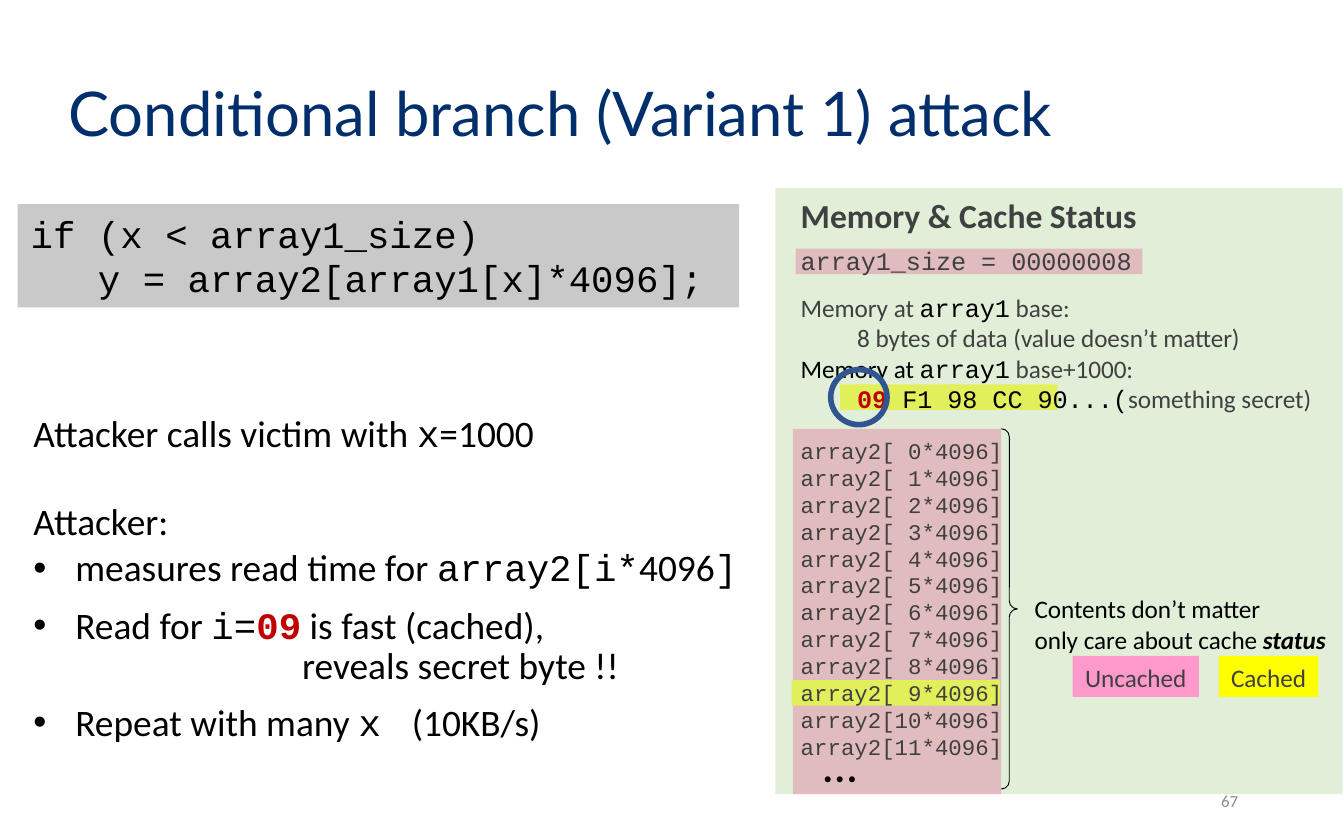
from pptx import Presentation
from pptx.dml.color import RGBColor
from pptx.enum import shapes, text
from pptx.oxml import parse_xml
from pptx.oxml.ns import nsdecls
from pptx.util import Pt

COLORS = {
    "navy": "002F6C", "black": "000000", "dark": "404040", "red": "C00000",
    "grey": "8C8C8C", "code": "C9C9C9", "panel": "C5E0B4", "pink": "FF99CC",
    "yellow": "FFFF00", "ring": "325491",
}
SANS, MONO = "Calibri", "Courier New"
BULLET_INDENT = 22.5
PANEL_INDENT, PANEL_TAB = 6.5, 36.7


def color(name):
    return RGBColor.from_string(COLORS[name])


def add_shape(slide, kind, box, fill=None, line=None, weight=1):
    """A preset shape; box is left, top, width, height in points."""
    shape = slide.shapes.add_shape(kind, *map(Pt, box))
    shape.shadow.inherit = False
    if fill:
        shape.fill.solid()
        shape.fill.fore_color.rgb = color(fill)
    else:
        shape.fill.background()
    if line:
        shape.line.color.rgb = color(line)
        shape.line.width = Pt(weight)
    else:
        shape.line.fill.background()
    return shape


def add_rectangle(slide, box, fill):
    return add_shape(slide, shapes.MSO_SHAPE.RECTANGLE, box, fill)


def set_transparency(shape, percent):
    fill = shape.fill._xPr.find(".//{*}srgbClr")
    fill.append(parse_xml(f'<a:alpha {nsdecls("a")} val="{(100 - percent) * 1000}"/>'))


def prepare_frame(shape, anchor=text.MSO_ANCHOR.TOP, wrap=True):
    frame = shape.text_frame
    frame.word_wrap = wrap
    frame.vertical_anchor = anchor
    return frame


def add_text_box(slide, box, anchor=text.MSO_ANCHOR.TOP):
    return prepare_frame(slide.shapes.add_textbox(*map(Pt, box)), anchor)


def add_paragraph(frame, runs, size, align=text.PP_ALIGN.LEFT, spacing=None,
                  before=0, after=0, left=0, bullet=False):
    """A paragraph of runs, each (words, font, color, style letters b and i)."""
    first = frame.paragraphs[0]
    paragraph = frame.add_paragraph() if first.runs else first
    paragraph.alignment = align
    paragraph.space_before, paragraph.space_after = Pt(before), Pt(after)
    if spacing:
        paragraph.line_spacing = spacing
    properties = paragraph._p.get_or_add_pPr()
    properties.set("marL", str(Pt(left)))
    properties.set("indent", str(Pt(-left if bullet else 0)))
    if bullet:
        properties.append(parse_xml(f'<a:buFont {nsdecls("a")} typeface="Arial"/>'))
        properties.append(parse_xml(f'<a:buChar {nsdecls("a")} char="•"/>'))
    for words, font, name, *style in runs:
        run = paragraph.add_run()
        run.text = words
        run.font.name, run.font.size = font, Pt(size)
        run.font.color.rgb = color(name)
        run.font.bold, run.font.italic = "b" in style, "i" in style


def add_code(slide):
    shape = add_rectangle(slide, (9.4, 109.4, 386.6, 55.4), "code")
    frame = prepare_frame(shape)
    for words, left in (("if (x < array1_size)", 0),
                        ("y = array2[array1[x]*4096];", 36)):
        add_paragraph(frame, [(words, MONO, "black")], 20, left=left)


def add_memory_panel(slide):
    # Highlights that show through the panel
    for box, fill in (((426.2, 133.2, 185.8, 13.7), "pink"),
                      ((450, 205.9, 116.6, 13.7), "yellow"),
                      ((424.8, 229.7, 111.6, 195.8), "pink"),
                      ((424.1, 364.3, 111.6, 13.7), "yellow")):
        add_rectangle(slide, box, fill)
    panel = add_rectangle(slide, (415.4, 100.8, 303.8, 324.7), "panel")
    set_transparency(panel, 50)
    frame = prepare_frame(panel)

    # Memory values
    add_paragraph(frame, [("Memory & Cache Status", SANS, "dark", "b")], 18,
                  left=PANEL_INDENT)
    rows = [
        ([("array1_size = 00000008", MONO, "dark")], PANEL_INDENT, 5.5),
        ([("Memory at ", SANS, "dark"), ("array1", MONO, "black"),
          (" base:", SANS, "dark")], PANEL_INDENT, 9),
        ([("8 bytes of data (value doesn’t matter)", SANS, "dark")], PANEL_TAB, 0),
        ([("Memory at ", SANS, "black"), ("array1", MONO, "black"),
          (" base+1000:", SANS, "dark")], PANEL_INDENT, 0),
        ([("09", MONO, "red", "b"), (" F1 98 CC 90...(", MONO, "black"),
          ("something secret)", SANS, "dark")], PANEL_TAB, 0),
    ]
    for runs, left, before in rows:
        add_paragraph(frame, runs, 13.5, left=left, before=before)

    # Probe array
    for index in range(12):
        add_paragraph(frame, [(f"array2[{index:2}*4096]", MONO, "dark")], 12,
                      left=PANEL_INDENT, before=0 if index else 12.8)


def add_cache_notes(slide):
    brace = add_shape(slide, shapes.MSO_SHAPE.RIGHT_BRACE,
                      (536.4, 229.7, 8.6, 193), line="black", weight=0.5)
    brace.adjustments[0] = brace.adjustments[1] = 0.5
    notes = ((314.6, [("Contents don’t matter", SANS, "black")]),
             (331.2, [("only care about cache ", SANS, "black"),
                      ("status", SANS, "black", "b", "i")]))
    for top, runs in notes:
        add_paragraph(add_text_box(slide, (547.2, top, 172.8, 23.8)), runs, 13.5)
    # Legend
    for words, left, width, fill in (("Uncached", 574.6, 67.7, "pink"),
                                     ("Cached", 653, 53.3, "yellow")):
        shape = add_rectangle(slide, (left, 351.4, width, 22), fill)
        add_paragraph(prepare_frame(shape, wrap=False), [(words, SANS, "dark")],
                      13.5, text.PP_ALIGN.CENTER)
    add_paragraph(add_text_box(slide, (432, 407.5, 36, 18)),
                  [("• • •", SANS, "black")], 9, text.PP_ALIGN.CENTER)


def add_attack_steps(slide):
    frame = add_text_box(slide, (10.8, 218.9, 393.1, 190.8))
    steps = [
        ([("Attacker calls victim with ", SANS, "black"), ("x", MONO, "black"),
          ("=1000", SANS, "black")], 1.5, 1.5, 0, False),
        ([("Attacker:", SANS, "black")], 24.3, 1.5, 0, False),
        ([("measures read time for ", SANS, "black"), ("array2[i*", MONO, "black"),
          ("4096", SANS, "black"), ("]", MONO, "black")],
         1.5, 1.5, BULLET_INDENT, True),
        ([("Read for ", SANS, "black"), ("i=", MONO, "black"),
          ("09", MONO, "red", "b"), (" is fast (cached),", SANS, "black")],
         7.5, 0, BULLET_INDENT, True),
        ([("reveals secret byte !!", SANS, "black")], 0, 1.5, 144, False),
        ([("Repeat with many ", SANS, "black"), ("x ", MONO, "black"),
          (" (10KB/s)", SANS, "black")], 7.5, 1.5, BULLET_INDENT, True),
    ]
    for runs, before, after, left, bullet in steps:
        add_paragraph(frame, runs, 20, spacing=0.9, before=before, after=after,
                      left=left, bullet=bullet)


def main():
    presentation = Presentation()
    presentation.slide_width, presentation.slide_height = Pt(720), Pt(450)
    slide = presentation.slides.add_slide(presentation.slide_layouts[6])

    # Title
    title = add_text_box(slide, (29.5, 39.6, 665.3, 46.1), text.MSO_ANCHOR.MIDDLE)
    add_paragraph(title, [("Conditional branch (Variant 1) attack", "Lato", "navy")],
                  33, spacing=0.9)

    # Content
    add_code(slide)
    add_memory_panel(slide)
    add_cache_notes(slide)
    add_attack_steps(slide)

    # Ring around the secret byte
    add_shape(slide, shapes.MSO_SHAPE.OVAL, (445, 198, 30.2, 29.5),
              line="ring", weight=3)

    # Page number
    number = add_text_box(slide, (508.3, 416.9, 162, 23.8), text.MSO_ANCHOR.MIDDLE)
    add_paragraph(number, [("67", SANS, "grey")], 9, text.PP_ALIGN.RIGHT)

    presentation.save("out.pptx")


if __name__ == "__main__":
    main()
